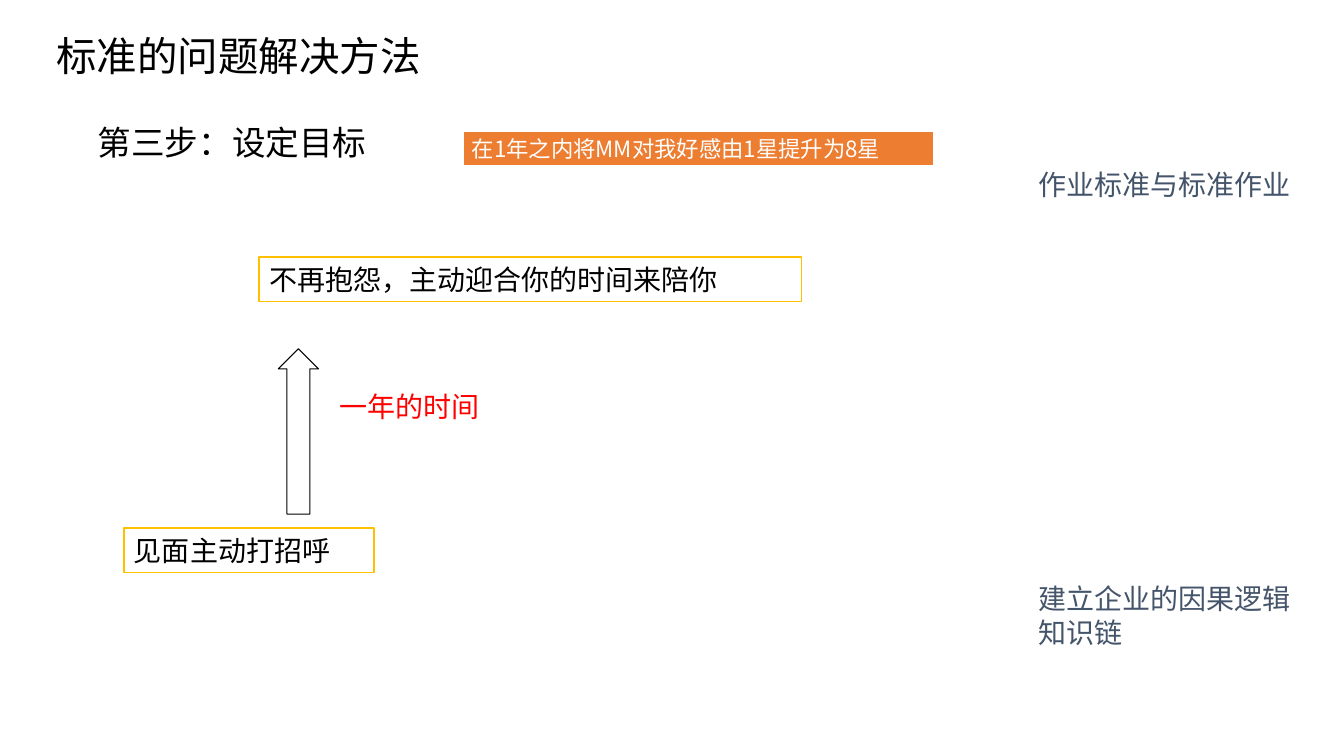
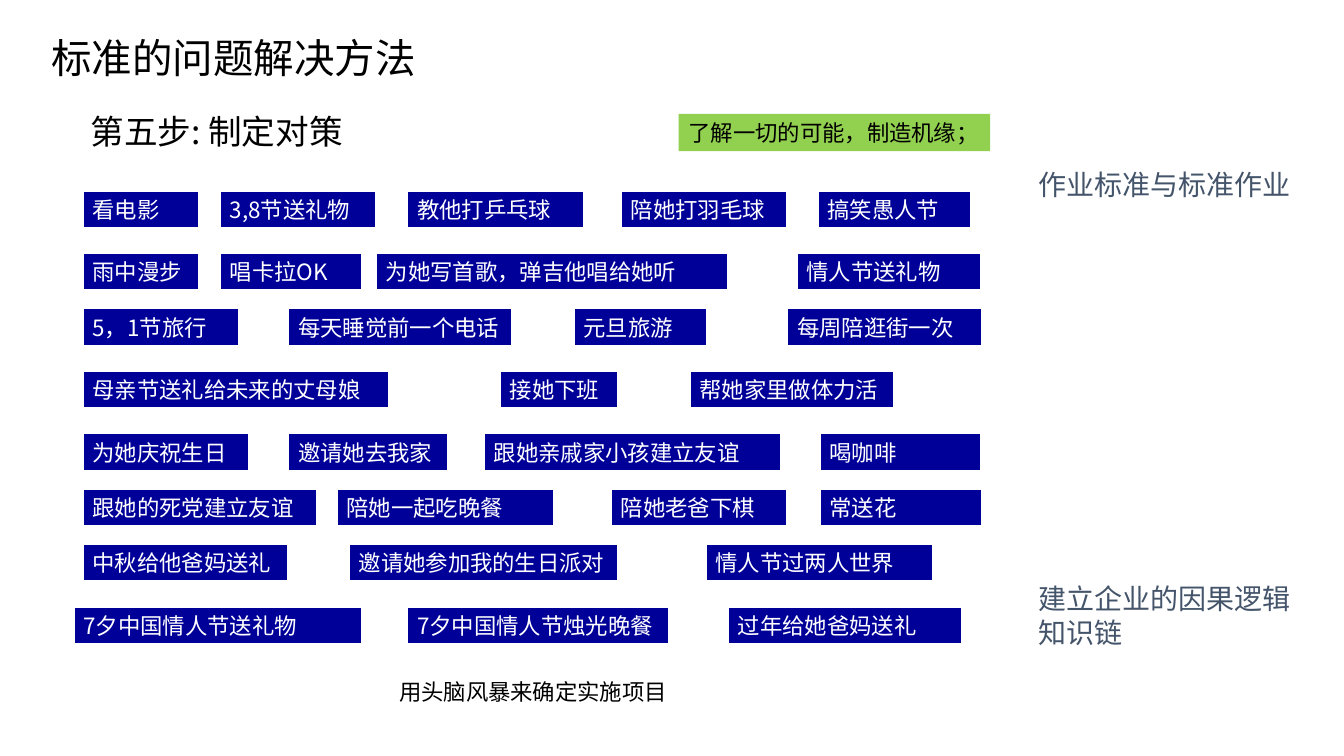
from pptx import Presentation
from pptx.dml.color import RGBColor
from pptx.enum import shapes, text
from pptx.oxml import ns
from pptx.util import Inches, Pt
from lxml import etree

BLACK = RGBColor(0x00, 0x00, 0x00)
WHITE = RGBColor(0xFF, 0xFF, 0xFF)
RED = RGBColor(0xFF, 0x00, 0x00)
SLATE = RGBColor(0x44, 0x54, 0x6A)
NAVY = RGBColor(0x00, 0x00, 0x99)
GOLD = RGBColor(0xFF, 0xC0, 0x00)
ORANGE = RGBColor(0xED, 0x7D, 0x31)
GREEN = RGBColor(0x92, 0xD0, 0x50)
SANS = "Noto Sans CJK SC"


def write(slide, words, box, size=16, color=BLACK, font=SANS, fill=None,
          line=None, width=1, title=False):
    """Put left-aligned words in a box: the title, a filled shape or plain text."""
    place = [Inches(n) for n in box]
    if title:
        shape = slide.shapes.title
        shape.left, shape.top, shape.width, shape.height = place
    elif fill is None:
        shape = slide.shapes.add_textbox(*place)
    else:
        shape = slide.shapes.add_shape(shapes.MSO_SHAPE.RECTANGLE, *place)
        shape.shadow.inherit = False
        shape.fill.solid()
        shape.fill.fore_color.rgb = fill
        if line is None:
            shape.line.fill.background()
        else:
            shape.line.color.rgb = line
            shape.line.width = Pt(width)
    frame = shape.text_frame
    frame.word_wrap = True
    frame.auto_size = text.MSO_AUTO_SIZE.NONE
    frame.vertical_anchor = text.MSO_ANCHOR.MIDDLE
    frame.margin_left = Inches(0.1)
    frame.margin_right = 0
    frame.margin_top = frame.margin_bottom = Inches(0.02)
    para = frame.paragraphs[0]
    para.alignment = text.PP_ALIGN.LEFT
    run = para.add_run()
    run.text = words
    run.font.size = Pt(size)
    run.font.color.rgb = color
    run.font.name = font
    east = etree.SubElement(run.font._element, ns.qn("a:ea"))
    east.set("typeface", font)


def start(left, top):
    """Add a slide with the shared title and the two side notes."""
    slide = deck.slides.add_slide(deck.slide_layouts[5])
    write(slide, "标准的问题解决方法", (left, top, 8.25, 0.54), size=28.9, title=True)
    for words, y, high in (("作业标准与标准作业", 1.61, 0.44),
                           ("建立企业的因果逻辑知识链", 5.72, 0.77)):
        write(slide, words, (10.2, y, 2.71, high), size=20, color=SLATE, font="Calibri")
    return slide


deck = Presentation()
deck.slide_width = Inches(13.33)
deck.slide_height = Inches(7.5)

# Step three: the goal
goal = start(0.46, 0.28)
write(goal, "第三步：设定目标", (0.87, 1.16, 2.87, 0.5), size=24)
write(goal, "在1年之内将MM对我好感由1星提升为8星", (4.58, 1.29, 4.7, 0.37),
      color=WHITE, fill=ORANGE, line=WHITE, width=3)
for words, box in (("见面主动打招呼", (1.23, 5.24, 2.48, 0.44)),
                   ("不再抱怨，主动迎合你的时间来陪你", (2.57, 2.55, 5.38, 0.44))):
    write(goal, words, box, size=20, fill=WHITE, line=GOLD)
arrow = goal.shapes.add_shape(shapes.MSO_SHAPE.UP_ARROW, Inches(2.76), Inches(3.46),
                              Inches(0.4), Inches(1.64))
arrow.shadow.inherit = False
arrow.adjustments[0] = 0.57
arrow.fill.background()
arrow.line.color.rgb = BLACK
arrow.line.width = Pt(0.75)
write(goal, "一年的时间", (3.27, 3.81, 1.84, 0.44), size=20, color=RED)

# Step five: the measures, row by row as (left, width, words)
plan = start(0.41, 0.3)
write(plan, "第五步: 制定对策", (0.8, 1.05, 3.71, 0.5), size=24)
write(plan, "了解一切的可能，制造机缘；", (6.73, 1.13, 3.09, 0.37), fill=GREEN)
rows = {
    1.89: [(0.82, 1.15, "看电影"), (2.18, 1.55, "3,8节送礼物"),
           (4.04, 1.75, "教他打乒乓球"), (6.16, 1.65, "陪她打羽毛球"),
           (8.11, 1.52, "搞笑愚人节")],
    2.51: [(0.82, 1.15, "雨中漫步"), (2.18, 1.41, "唱卡拉OK"),
           (3.73, 3.49, "为她写首歌，弹吉他唱给她听"), (7.9, 1.83, "情人节送礼物")],
    3.06: [(0.82, 1.55, "5，1节旅行"), (2.86, 2.22, "每天睡觉前一个电话"),
           (5.69, 1.32, "元旦旅游"), (7.81, 1.93, "每周陪逛街一次")],
    3.68: [(0.82, 3.04, "母亲节送礼给未来的丈母娘"), (4.96, 1.17, "接她下班"),
           (6.84, 2.03, "帮她家里做体力活")],
    4.3: [(0.82, 1.65, "为她庆祝生日"), (2.86, 1.58, "邀请她去我家"),
          (4.8, 2.95, "跟她亲戚家小孩建立友谊"), (8.13, 1.6, "喝咖啡")],
    4.85: [(0.82, 2.33, "跟她的死党建立友谊"), (3.34, 2.16, "陪她一起吃晚餐"),
           (6.06, 1.75, "陪她老爸下棋"), (8.13, 1.61, "常送花")],
    5.4: [(0.82, 2.04, "中秋给他爸妈送礼"), (3.46, 2.67, "邀请她参加我的生日派对"),
          (7, 2.26, "情人节过两人世界")],
    6.02: [(0.73, 2.86, "7夕中国情人节送礼物"), (4.04, 2.6, "7夕中国情人节烛光晚餐"),
           (7.22, 2.32, "过年给她爸妈送礼")],
}
for top, row in rows.items():
    for left, wide, words in row:
        write(plan, words, (left, top, wide, 0.37), color=WHITE, fill=NAVY,
              line=WHITE, width=1.5)
write(plan, "用头脑风暴来确定实施项目", (3.86, 6.68, 2.87, 0.37))

deck.save("out.pptx")
